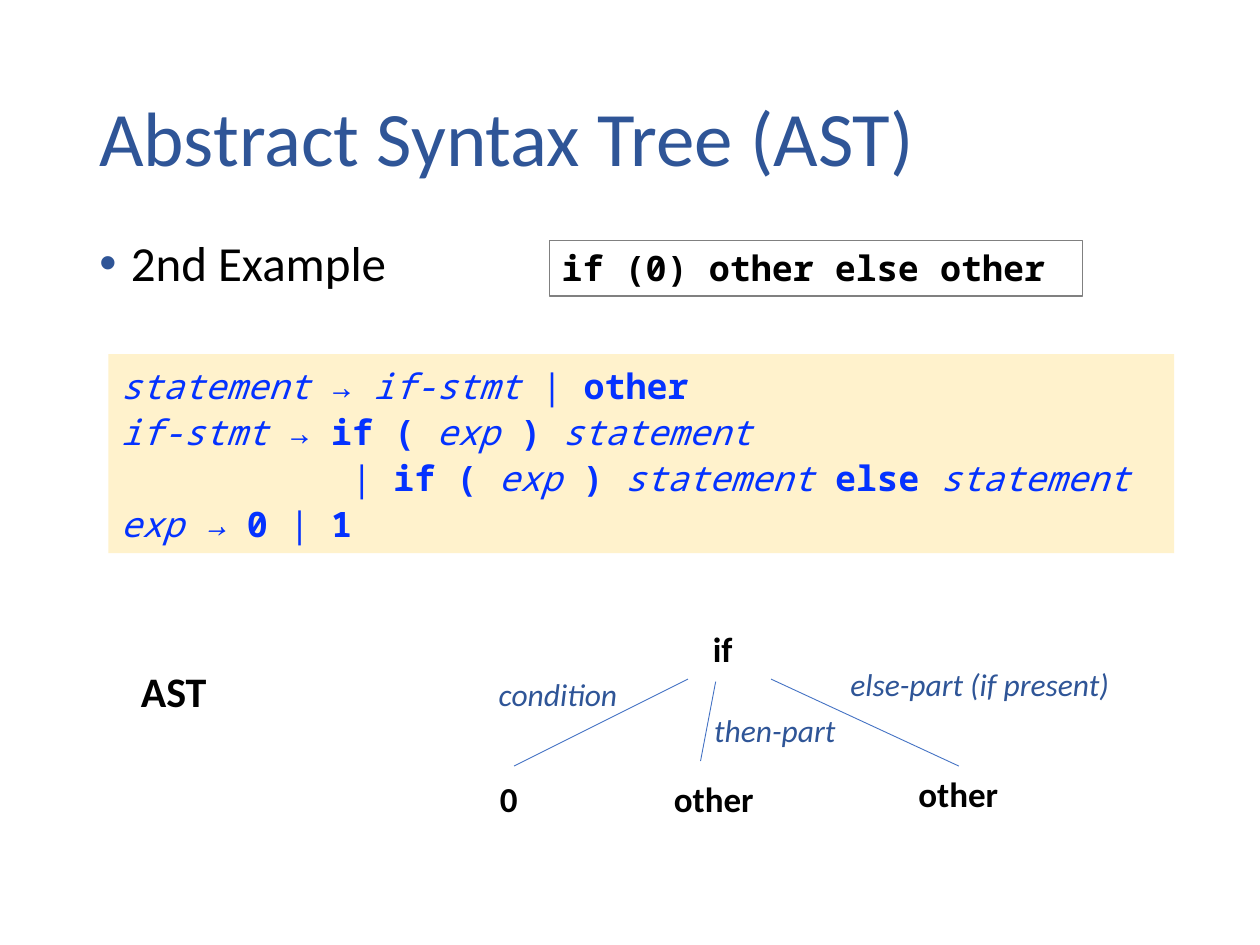
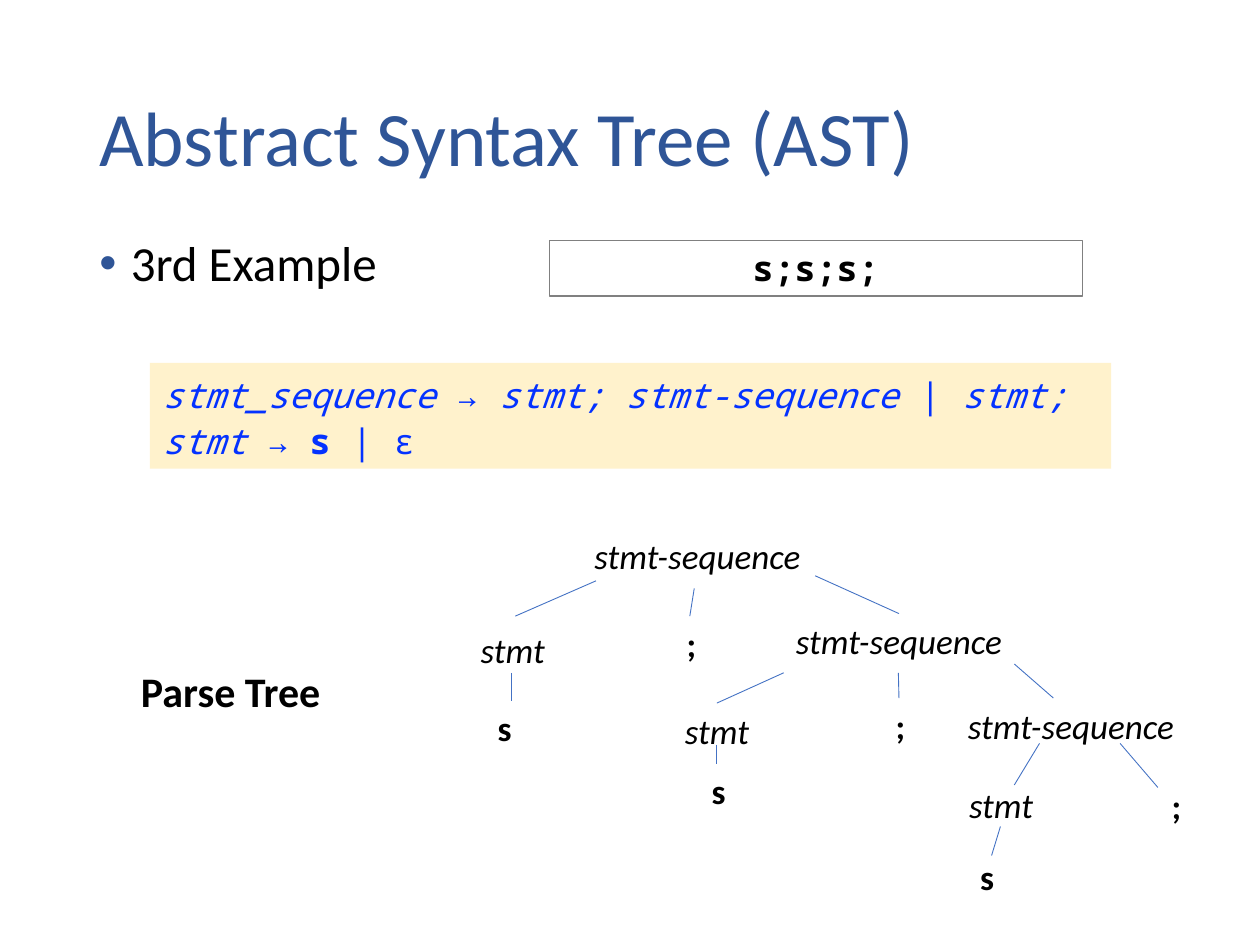
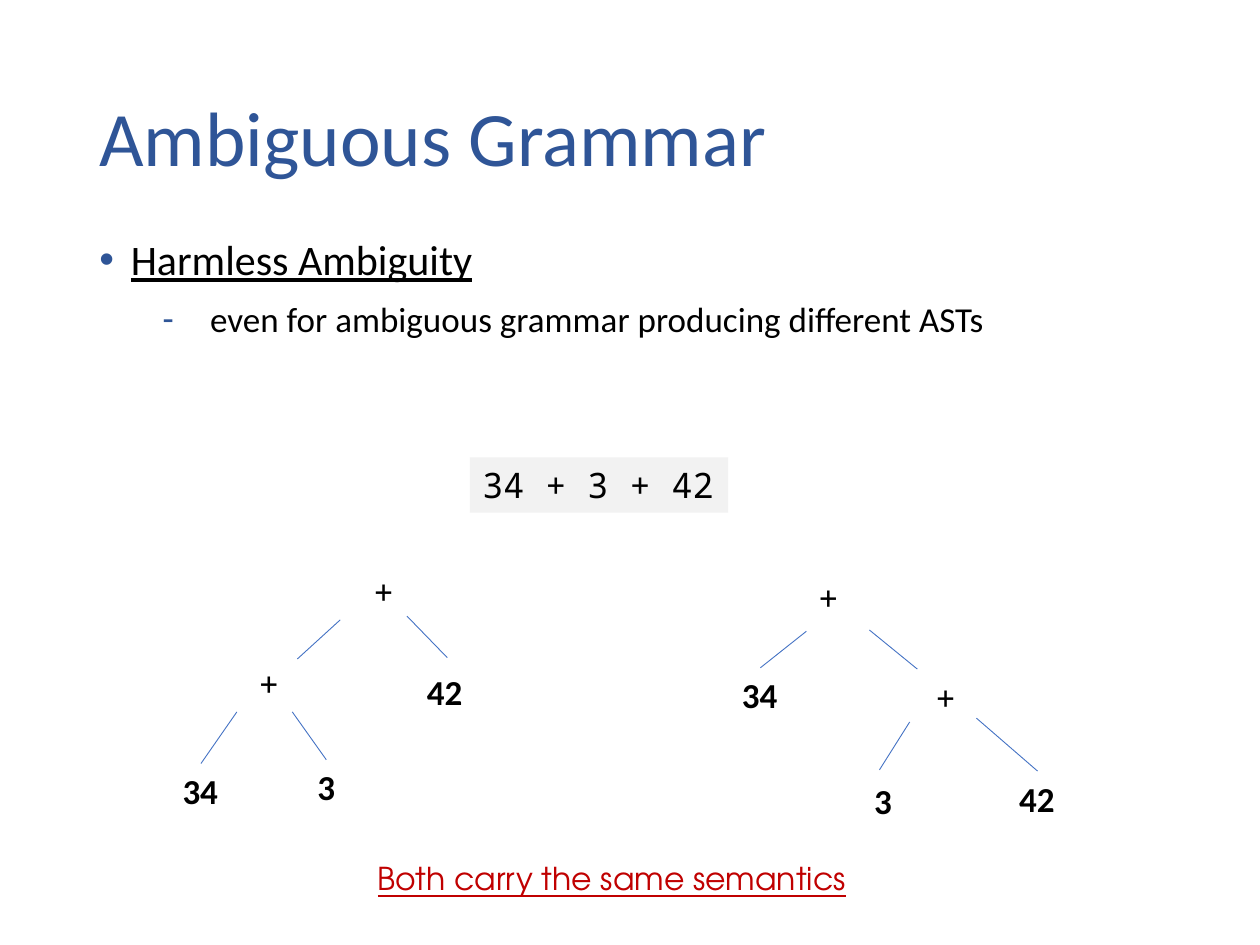
from dataclasses import dataclass, replace

from lxml.etree import SubElement
from pptx import Presentation
from pptx.dml.color import RGBColor
from pptx.enum.shapes import MSO_CONNECTOR as Connector, MSO_SHAPE as Preset
from pptx.enum.text import MSO_ANCHOR as Anchor, PP_ALIGN as Align
from pptx.oxml.ns import qn
from pptx.util import Emu, Pt

EMU_PER_PX = 9144  # 100 px to the inch


# Theme
@dataclass(frozen=True)
class Theme:
    accent: str = "2F5597"
    ink: str = "000000"
    edge: str = "4472C4"
    frame: str = "808080"
    grammar: str = "0432FF"
    grammar_fill: str = "FFF2CC"
    code_fill: str = "F2F2F2"
    alert: str = "C00000"
    sans: str = "Calibri"
    mono: str = "Noto Sans Mono"
    display: str = "TeX Gyre Adventor"
    title_size: int = 44
    lead_size: int = 28
    heading_size: int = 24
    text_size: int = 20
    note_size: int = 18
    edge_width: float = 0.5
    frame_width: float = 0.75


THEME = Theme()


@dataclass(frozen=True)
class TextStyle:
    size: int = THEME.text_size
    font: str = THEME.sans
    color: str = THEME.ink
    bold: bool = False
    italic: bool = False
    underline: bool = False
    align: Align = Align.LEFT
    wrap: bool = False


TITLE = TextStyle(THEME.title_size, color=THEME.accent, wrap=True)
LEAD = TextStyle(THEME.lead_size)
HEADING = TextStyle(THEME.heading_size, underline=True)
DETAIL = TextStyle()
CAPTION = TextStyle(THEME.heading_size, bold=True)
TOKEN = TextStyle(bold=True)
WIDE_TOKEN = replace(TOKEN, wrap=True)
RULE_NAME = TextStyle(italic=True, align=Align.CENTER, wrap=True)
OPERATOR = TextStyle(font=THEME.mono, align=Align.CENTER)
ROLE = TextStyle(THEME.note_size, color=THEME.accent, italic=True)
REMARK = TextStyle(THEME.note_size, THEME.display, THEME.alert, underline=True)
CODE = TextStyle(font=THEME.mono)
BOLD_CODE = replace(CODE, bold=True, wrap=True)
GRAMMAR = replace(CODE, color=THEME.grammar)
GRAMMAR_RUNS = {
    "name": replace(GRAMMAR, italic=True),
    "word": replace(GRAMMAR, bold=True),
    "sign": GRAMMAR,
}

# Places shared by the slides, as left, top, width, height
TITLE_BOX = (69, 40, 862, 145)
BODY_BOX = (69, 185, 863, 173)
INPUT_BOX = (436, 191, 423, 44)


# Helpers
def px(*lengths):
    return [Emu(length * EMU_PER_PX) for length in lengths]


def rgb(color):
    return RGBColor.from_string(color)


def format_run(run, style):
    font = run.font
    font.name, font.size = style.font, Pt(style.size)
    font.bold, font.italic, font.underline = style.bold, style.italic, style.underline
    font.color.rgb = rgb(style.color)


def format_paragraph(paragraph, style):
    paragraph.alignment = style.align
    for run in paragraph.runs:
        format_run(run, style)


def next_paragraph(text_frame, index):
    return text_frame.add_paragraph() if index else text_frame.paragraphs[0]


def indent(paragraph, left, first=0):
    properties = paragraph._p.get_or_add_pPr()
    properties.set("marL", str(left * EMU_PER_PX))
    properties.set("indent", str(first * EMU_PER_PX))
    return properties


# Elements
def add_label(slide, text, box, style):
    shape = slide.shapes.add_textbox(*px(*box))
    text_frame = shape.text_frame
    text_frame.word_wrap = style.wrap
    text_frame.text = text
    format_paragraph(text_frame.paragraphs[0], style)
    return shape


def add_title(slide, text):
    text_frame = add_label(slide, text, TITLE_BOX, TITLE).text_frame
    text_frame.vertical_anchor = Anchor.MIDDLE
    text_frame.paragraphs[0].line_spacing = 0.9


def add_bullets(slide, items, box=BODY_BOX):
    """Items are (text, style, bullet, left indent, first-line indent)."""
    text_frame = slide.shapes.add_textbox(*px(*box)).text_frame
    text_frame.word_wrap = True
    for index, (text, style, bullet, left, first) in enumerate(items):
        paragraph = next_paragraph(text_frame, index)
        paragraph.text = text
        format_paragraph(paragraph, style)
        paragraph.line_spacing, paragraph.space_before = 0.9, Pt(10)
        properties = indent(paragraph, left, first)
        bullet_color = SubElement(properties, qn("a:buClr"))
        SubElement(bullet_color, qn("a:srgbClr"), val=THEME.accent)
        SubElement(properties, qn("a:buFont"), typeface="Arial")
        SubElement(properties, qn("a:buChar"), char=bullet)


def add_panel(slide, box, fill=None, line=None):
    shape = slide.shapes.add_shape(Preset.RECTANGLE, *px(*box))
    shape.shadow.inherit = False
    if fill:
        shape.fill.solid()
        shape.fill.fore_color.rgb = rgb(fill)
    else:
        shape.fill.background()
    if line:
        shape.line.color.rgb = rgb(line)
        shape.line.width = Pt(THEME.frame_width)
    else:
        shape.line.fill.background()
    shape.text_frame.vertical_anchor = Anchor.TOP
    return shape


def add_code(slide, text, box, style, **colors):
    text_frame = add_panel(slide, box, **colors).text_frame
    text_frame.word_wrap = style.wrap
    text_frame.text = text
    format_paragraph(text_frame.paragraphs[0], style)


def add_grammar(slide, box, rules):
    """Rules are (left indent, runs); each run is (kind, text)."""
    text_frame = add_panel(slide, box, fill=THEME.grammar_fill).text_frame
    text_frame.word_wrap = True
    for index, (left, runs) in enumerate(rules):
        paragraph = next_paragraph(text_frame, index)
        paragraph.alignment, paragraph.line_spacing = Align.LEFT, 1.1
        indent(paragraph, left)
        for kind, text in runs:
            run = paragraph.add_run()
            run.text = text
            format_run(run, GRAMMAR_RUNS[kind])


def find_joint(nodes, x, y):
    """The node and site whose top or bottom middle lies at the point."""
    for shape, (left, top, width, height) in nodes:
        for site, side in ((0, top), (2, top + height)):
            if abs(left + width / 2 - x) <= 1 and abs(side - y) <= 1:
                return shape, site
    return None


def add_edge(slide, nodes, start, end):
    connector = slide.shapes.add_connector(Connector.STRAIGHT, *px(*start, *end))
    connector.line.color.rgb = rgb(THEME.edge)
    connector.line.width = Pt(THEME.edge_width)
    SubElement(connector._element.spPr, qn("a:effectLst"))
    for point, connect in ((start, connector.begin_connect), (end, connector.end_connect)):
        joint = find_joint(nodes, *point)
        if joint:
            connect(*joint)


def add_tree(slide, labels, edges):
    nodes = [(add_label(slide, text, box, style), box) for text, box, style in labels]
    for start, end in edges:
        add_edge(slide, nodes, start, end)


def add_slide(presentation, title):
    slide = presentation.slides.add_slide(presentation.slide_layouts[6])
    add_title(slide, title)
    return slide


def add_example_slide(presentation, bullet, code, code_style, caption, caption_width):
    slide = add_slide(presentation, "Abstract Syntax Tree (AST)")
    add_bullets(slide, [(bullet, LEAD, "•", 25, -25)])
    add_code(slide, code, INPUT_BOX, code_style, line=THEME.frame)
    add_label(slide, caption, (102, 523, caption_width, 50), CAPTION)
    return slide


# Slides
def build_if_example(presentation):
    slide = add_example_slide(presentation, "2nd Example", "if (0) other else other",
                              BOLD_CODE, "AST", 73)
    add_grammar(slide, (86, 281, 846, 158), [
        (0, [("name", "statement"), ("sign", " → "), ("name", "if-stmt "),
             ("sign", "| "), ("word", "other")]),
        (0, [("name", "if-stmt "), ("sign", "→ "), ("word", "if ( "),
             ("name", "exp "), ("word", ") "), ("name", "statement")]),
        (183, [("sign", "| "), ("word", "if ( "), ("name", "exp "), ("word", ")"),
               ("name", " statement "), ("word", "else"), ("name", " statement")]),
        (0, [("name", "exp → "), ("word", "0 "), ("sign", "| "), ("word", "1")]),
    ])
    add_tree(slide, [
        ("if", (556, 493, 36, 44), TOKEN),
        ("0", (387, 612, 34, 44), TOKEN),
        ("other", (525, 612, 84, 44), TOKEN),
        ("other", (719, 608, 84, 44), TOKEN),
        ("condition", (386, 531, 115, 40), ROLE),
        ("then-part", (557, 559, 117, 40), ROLE),
        ("else-part (if present)", (665, 523, 228, 40), ROLE),
    ], [
        ((546, 539), (408, 608)),
        ((568, 541), (556, 604)),
        ((612, 539), (762, 608)),
    ])


def build_sequence_example(presentation):
    slide = add_example_slide(presentation, "3rd Example", "s;s;s;",
                              replace(BOLD_CODE, align=Align.CENTER), "Parse Tree", 164)
    add_grammar(slide, (119, 288, 763, 84), [
        (0, [("name", "stmt_sequence"), ("sign", " → "), ("name", "stmt; stmt-sequence "),
             ("sign", "| "), ("name", "stmt;")]),
        (0, [("name", "stmt "), ("sign", "→ "), ("word", "s "), ("sign", "| ε")]),
    ])
    add_tree(slide, [
        # First statement
        ("stmt-sequence", (439, 419, 229, 33), RULE_NAME),
        ("stmt", (340, 494, 134, 33), RULE_NAME),
        (";", (535, 489, 25, 27), TOKEN),
        ("s", (385, 556, 42, 44), WIDE_TOKEN),
        # Second statement
        ("stmt-sequence", (600, 487, 227, 33), RULE_NAME),
        ("stmt", (502, 558, 134, 33), RULE_NAME),
        (";", (701, 554, 25, 27), TOKEN),
        ("s", (555, 606, 28, 27), TOKEN),
        # Third statement
        ("stmt-sequence", (740, 554, 220, 33), RULE_NAME),
        ("stmt", (725, 617, 139, 44), RULE_NAME),
        (";", (920, 618, 25, 27), TOKEN),
        ("s", (768, 674, 44, 45), WIDE_TOKEN),
    ], [
        ((473, 461), (409, 489)),
        ((551, 467), (547, 489)),
        ((647, 457), (713, 487)),
        ((406, 534), (406, 556)),
        ((622, 534), (569, 558)),
        ((713, 534), (713, 553)),
        ((805, 527), (836, 554)),
        ((569, 590), (569, 606)),
        ((825, 590), (805, 623)),
        ((889, 590), (919, 625)),
        ((794, 656), (787, 679)),
    ])


def build_ambiguity(presentation):
    slide = add_slide(presentation, "Ambiguous Grammar")
    add_bullets(slide, [
        ("Harmless Ambiguity", HEADING, "•", 25, -25),
        ("even for ambiguous grammar producing different ASTs", DETAIL, "-", 88, -38),
    ], (69, 185, 815, 122))
    add_code(slide, "34 + 3 + 42", (373, 363, 205, 44), CODE, fill=THEME.code_fill)
    # Left-grouped sum
    add_tree(slide, [
        ("+", (286, 448, 37, 44), OPERATOR),
        ("+", (195, 521, 37, 44), OPERATOR),
        ("42", (329, 527, 49, 44), TOKEN),
        ("34", (135, 606, 49, 44), TOKEN),
        ("3", (242, 603, 34, 44), TOKEN),
    ], [
        ((270, 492), (236, 523)),
        ((323, 489), (355, 522)),
        ((188, 565), (160, 606)),
        ((232, 565), (259, 603)),
    ])
    # Right-grouped sum
    add_tree(slide, [
        ("+", (639, 453, 37, 44), OPERATOR),
        ("34", (579, 530, 49, 44), TOKEN),
        ("+", (732, 532, 37, 44), OPERATOR),
        ("3", (684, 614, 34, 44), TOKEN),
        ("42", (799, 612, 49, 44), TOKEN),
    ], [
        ((640, 501), (603, 530)),
        ((690, 500), (728, 531)),
        ((722, 573), (698, 611)),
        ((775, 570), (823, 611)),
    ])
    add_label(slide, "Both carry the same semantics", (290, 677, 400, 40), REMARK)


def main():
    presentation = Presentation()
    presentation.slide_width, presentation.slide_height = px(1000, 750)
    build_if_example(presentation)
    build_sequence_example(presentation)
    build_ambiguity(presentation)
    presentation.save("out.pptx")


if __name__ == "__main__":
    main()
